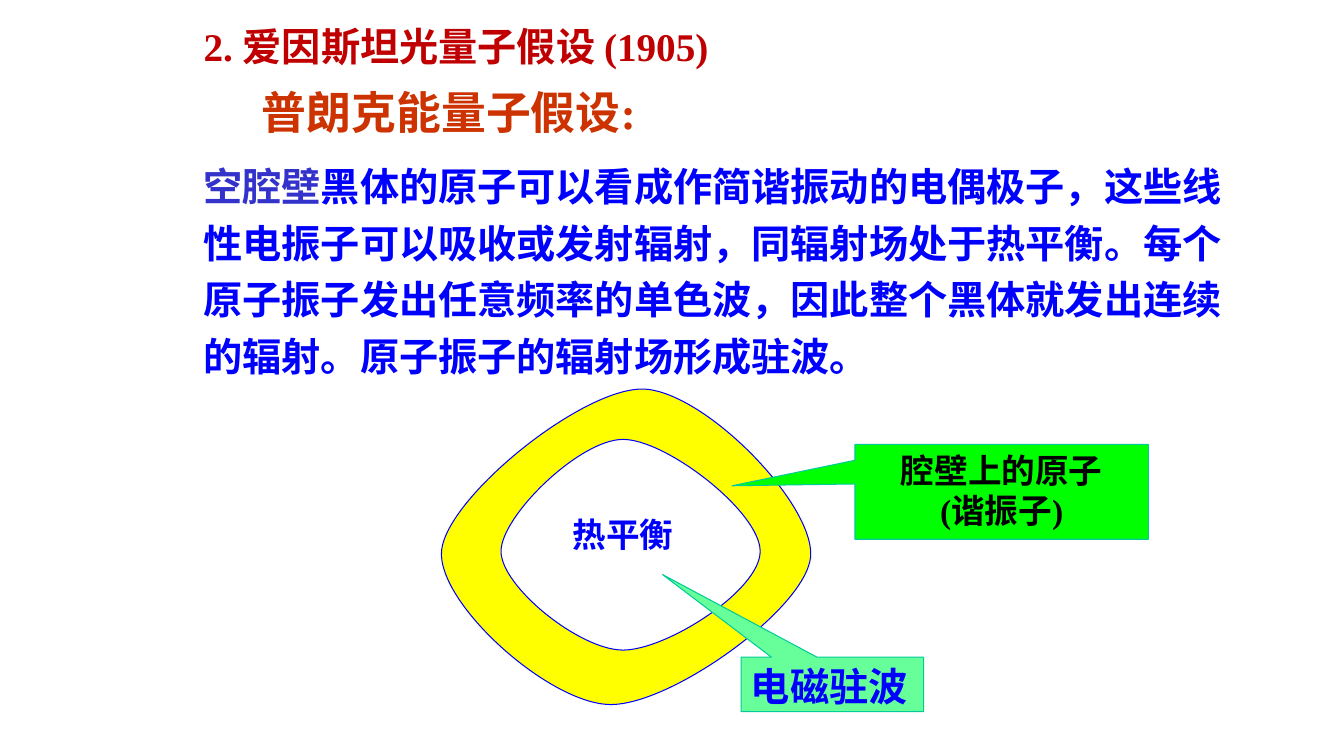
from lxml import etree
from pptx import Presentation
from pptx.dml.color import RGBColor
from pptx.enum.shapes import MSO_SHAPE
from pptx.enum.text import MSO_ANCHOR, MSO_AUTO_SIZE, PP_ALIGN
from pptx.oxml.ns import qn
from pptx.util import Emu, Pt

PX = 9144  # 100 px to the inch
CALLOUT = MSO_SHAPE.RECTANGULAR_CALLOUT
TOP = MSO_ANCHOR.TOP
LEFT, CENTER = PP_ALIGN.LEFT, PP_ALIGN.CENTER
NO_FIT = MSO_AUTO_SIZE.NONE
TIMES, ARIAL = "Times New Roman", "Arial"
SANS, SCHOLA = "Noto Sans CJK SC", "TeX Gyre Schola"
COLORS = {
    "heading": "C00000", "subheading": "CC3300", "lead": "3333CC",
    "blue": "0000FF", "black": "000000", "wall": "FFFF00",
    "atoms": "00FF00", "wave": "66FF99", "callout_line": "00CC99",
}

# Cavity wall: start point, then Bezier segments of three points each
OUTER_WALL = [(438, 546), (444, 493), (577, 385), (638, 386),
              (699, 388), (809, 501), (804, 553),
              (798, 605), (665, 700), (605, 699),
              (544, 698), (433, 598), (438, 546)]
INNER_WALL = [(497, 547), (497, 582), (575, 645), (618, 645),
              (661, 645), (754, 586), (754, 547),
              (754, 508), (661, 436), (618, 436),
              (575, 436), (497, 512), (497, 547)]


def color(name):
    return RGBColor.from_string(COLORS[name])


def to_emu(box):
    return [Emu(value * PX) for value in box]


def paint(shape, fill, line):
    shape.shadow.inherit = False
    shape.fill.solid()
    shape.fill.fore_color.rgb = color(fill)
    shape.line.color.rgb = color(line)
    shape.line.width = Pt(0.75)


def write(shape, paras, size, align=LEFT, spacing=1.0, wrap=True):
    """Fill a shape with paragraphs, each a list of (text, font, colour)."""
    frame = shape.text_frame
    frame.text = "\n".join(spans[0][0] for spans in paras)
    frame.auto_size = NO_FIT
    frame.word_wrap = wrap
    frame.vertical_anchor = TOP
    for para, spans in zip(frame.paragraphs, paras):
        para.alignment = align
        para.line_spacing = spacing
        para.space_before = Pt(0)
        for text, _, _ in spans[1:]:
            para.add_run().text = text
        for span, (_, font_name, tint) in zip(para.runs, spans):
            span.font.name = font_name
            span.font.size = Pt(size)
            span.font.bold = True
            span.font.color.rgb = color(tint)


def add_text(page, box, paras, size, **options):
    write(page.shapes.add_textbox(*to_emu(box)), paras, size, **options)


def add_heading(page, box):
    title = page.shapes.title
    title.left, title.top, title.width, title.height = to_emu(box)
    write(title, [[("2. ", TIMES, "heading"),
                   ("爱因斯坦光量子假设 ", SANS, "heading"),
                   ("(1905)", TIMES, "heading")]], 28, wrap=False)
    title.text_frame.margin_right = 0


def add_explanation(page, box):
    left, top, width, height = box
    add_text(page, (left + 58, top, 504, 69),
             [[("普朗克能量子假设:", TIMES, "subheading")]], 32, spacing=1.2)
    add_text(page, (left, top + 79, width, height - 79), [[
        ("空腔壁", SCHOLA, "lead"),
        ("黑体的原子可以看成作简谐振动的电偶极子，这些线性电振子可以吸收或"
         "发射辐射，同辐射场处于热平衡。每个原子振子发出任意", ARIAL, "blue"),
        ("频率的", TIMES, "blue"),
        ("单色波，因此整个黑体就发出连续的辐射。原子振子的辐射场形成驻波。",
         ARIAL, "blue")]], 28, spacing=1.2)


def add_wall(page, left, top):
    """Draw both outlines through their end points, then bend each side."""
    builder = page.shapes.build_freeform(*OUTER_WALL[0], scale=PX)
    builder.add_line_segments(OUTER_WALL[3::3])
    builder.move_to(*INNER_WALL[0])
    builder.add_line_segments(INNER_WALL[3::3])
    wall = builder.convert_to_shape()
    segments = [outline[first:first + 3] for outline in (OUTER_WALL, INNER_WALL)
                for first in range(1, len(outline), 3)]
    sides = list(wall.element.iter(qn("a:lnTo")))
    for side, segment in zip(sides, segments):
        curve = etree.Element(qn("a:cubicBezTo"))
        for x, y in segment:
            etree.SubElement(curve, qn("a:pt"), x=str(x - left), y=str(y - top))
        side.getparent().replace(side, curve)
    paint(wall, "wall", "blue")


def add_callout(page, box, tip, fill, paras, size, align):
    left, top, width, height = box
    shape = page.shapes.add_shape(CALLOUT, *to_emu(box))
    shape.adjustments[0] = (tip[0] - left) / width - 0.5
    shape.adjustments[1] = (tip[1] - top) / height - 0.5
    paint(shape, fill, "callout_line")
    write(shape, paras, size, align=align)


def add_cavity(page, left, top):
    add_wall(page, left, top)
    # Callouts and the label inside
    add_callout(page, (left + 410, top + 55, 291, 94), (left + 288, top + 96),
                "atoms", [[("腔壁上的原子", SANS, "black")],
                          [("(谐振子)", TIMES, "black")]], 24, CENTER)
    add_callout(page, (left + 297, top + 266, 181, 54), (left + 219, top + 184),
                "wave", [[("电磁驻波", SANS, "blue")]], 28, LEFT)
    add_text(page, (left + 120, top + 119, 122, 50),
             [[("热平衡", ARIAL, "blue")]], 24, wrap=False)


def main():
    deck = Presentation()
    deck.slide_width, deck.slide_height = to_emu((1333, 750))
    page = deck.slides.add_slide(deck.slide_layouts[5])
    add_heading(page, (192, 17, 539, 57))
    add_explanation(page, (192, 68, 1056, 310))
    add_cavity(page, 438, 386)
    deck.save("out.pptx")


if __name__ == "__main__":
    main()
